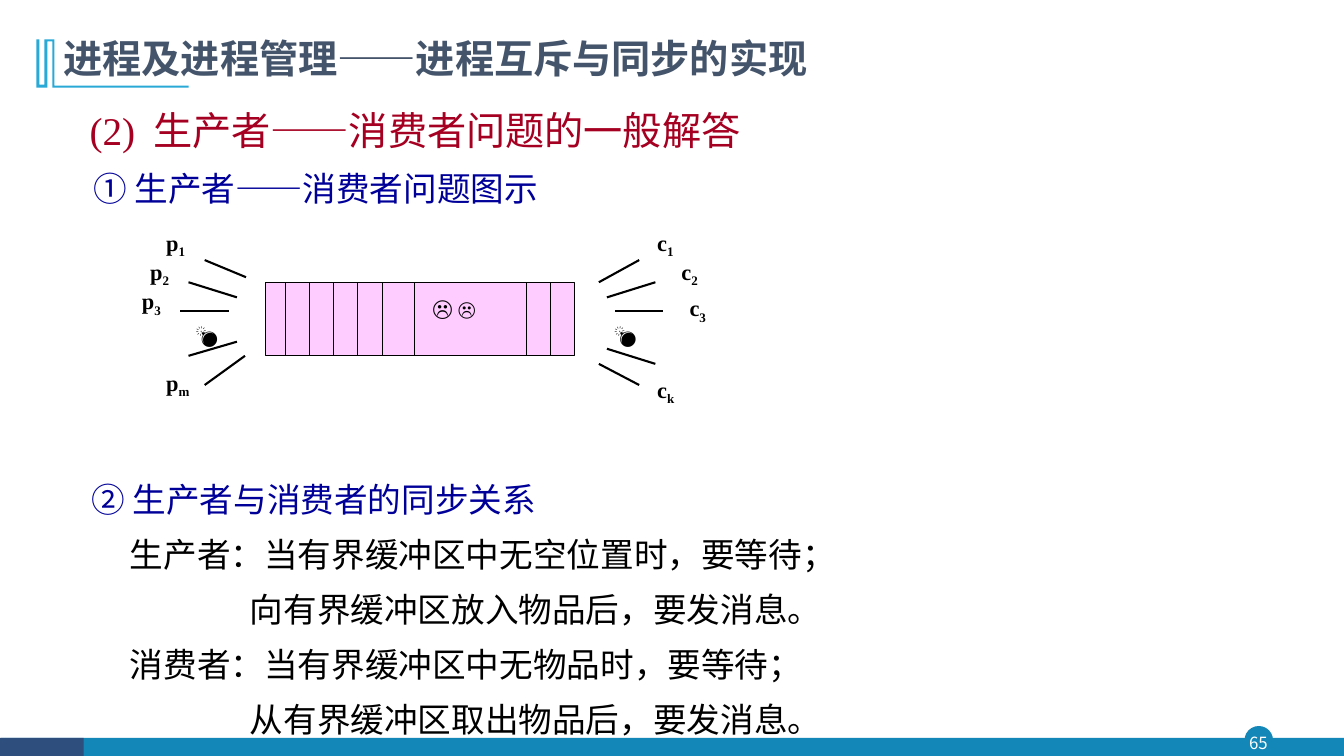
from lxml.etree import SubElement
from pptx import Presentation
from pptx.dml.color import RGBColor
from pptx.enum.shapes import MSO_CONNECTOR, MSO_SHAPE
from pptx.enum.text import MSO_ANCHOR, MSO_AUTO_SIZE, PP_ALIGN
from pptx.oxml.ns import qn
from pptx.util import Inches, Pt

COLORS = {
    "black": "000000", "white": "FFFFFF", "title": "44546A", "red": "A50021",
    "navy": "000099", "pink": "FFCCFF", "sky": "28A9D6", "bar": "1387B7",
    "bar_dark": "2E4E7E",
}
SANS = "Noto Sans CJK SC"
SERIF = "Times New Roman"


class SlideBuilder:
    def __init__(self, page):
        self.page = page
        self.shapes = page.shapes

    def start_group(self):
        self.shapes = self.page.shapes.add_group_shape().shapes

    def end_group(self):
        self.shapes = self.page.shapes

    def color(self, name):
        return RGBColor.from_string(COLORS[name])

    def style(self, span, size, color="black", font=SERIF, bold=False):
        span.font.size = Pt(size)
        span.font.name = font
        span.font.bold = bold
        span.font.color.rgb = self.color(color)
        SubElement(span._r.get_or_add_rPr(), qn("a:ea"), typeface=SANS)

    def paint(self, shape, fill, line=None, width=0.75):
        shape.shadow.inherit = False
        shape.fill.solid()
        shape.fill.fore_color.rgb = self.color(fill)
        if line:
            shape.line.color.rgb = self.color(line)
            shape.line.width = Pt(width)
        else:
            shape.line.fill.background()

    def shape(self, kind, left, top, width, height, fill, line=None, weight=0.75):
        shape = self.shapes.add_shape(
            kind, Inches(left), Inches(top), Inches(width), Inches(height))
        self.paint(shape, fill, line, weight)

    def outline(self, points, fill):
        points = [(Inches(x), Inches(y)) for x, y in points]
        builder = self.shapes.build_freeform(*points[0])
        builder.add_line_segments(points[1:], close=True)
        self.paint(builder.convert_to_shape(), fill)

    def line(self, x1, y1, x2, y2, width):
        line = self.shapes.add_connector(
            MSO_CONNECTOR.STRAIGHT, Inches(x1), Inches(y1), Inches(x2), Inches(y2))
        line.line.color.rgb = self.color("black")
        line.line.width = Pt(width)
        SubElement(line._element.spPr, qn("a:effectLst"))

    def text(self, left, top, width, height):
        box = self.shapes.add_textbox(
            Inches(left), Inches(top), Inches(width), Inches(height))
        box.text_frame.word_wrap = True
        return box.text_frame

    def title(self, text, left, top, width, height):
        box = self.page.shapes.title
        box.left, box.top = Inches(left), Inches(top)
        box.width, box.height = Inches(width), Inches(height)
        frame = box.text_frame
        frame.text = text
        frame.auto_size = MSO_AUTO_SIZE.NONE
        frame.vertical_anchor = MSO_ANCHOR.TOP
        para = frame.paragraphs[0]
        para.alignment = PP_ALIGN.LEFT
        para.line_spacing = 0.9
        self.style(para.runs[0], 28, "title", SANS, True)

    def heading(self, text, left, top, width, height, size, color, hang=0):
        frame = self.text(left, top, width, height)
        frame.text = text
        para = frame.paragraphs[0]
        para.line_spacing = 1.2
        if hang:
            properties = para._p.get_or_add_pPr()
            properties.set("marL", str(Inches(hang)))
            properties.set("indent", str(-Inches(hang)))
        self.style(para.runs[0], size, color)

    def body(self, lines, left, top, width, height):
        frame = self.text(left, top, width, height)
        frame.text = "\n".join(text for text, _, _ in lines)
        for index, (para, (_, margin, color)) in enumerate(zip(frame.paragraphs, lines)):
            para._p.get_or_add_pPr().set("marL", str(Inches(margin)))
            para.line_spacing = 1.2 if index else 1.3
            if index:
                para.space_before = Pt(4.8)
            self.style(para.runs[0], 24, color)

    def label(self, letter, index, left, top, width=0.48):
        para = self.text(left, top, width, 0.36).paragraphs[0]
        para.alignment = PP_ALIGN.JUSTIFY
        for text in (letter, index):
            span = para.add_run()
            span.text = text
            self.style(span, 16, bold=True)
        span._r.get_or_add_rPr().set("baseline", "-25000")

    def symbols(self, parts, left, top, width):
        para = self.text(left, top, width, 0.37).paragraphs[0]
        for text, size, font in parts:
            span = para.add_run()
            span.text = text
            self.style(span, size, font=font, bold=True)


def main():
    deck = Presentation()
    deck.slide_width, deck.slide_height = Inches(13.33), Inches(7.5)
    slide = SlideBuilder(deck.slides.add_slide(deck.slide_layouts[5]))

    # Footer band and page number
    slide.shape(MSO_SHAPE.OVAL, 12.35, 7.21, 0.27, 0.27, "bar", "bar", 1)
    slide.shape(MSO_SHAPE.RECTANGLE, 0.01, 7.32, 13.32, 0.19, "bar")
    slide.shape(MSO_SHAPE.RECTANGLE, 0, 7.32, 0.83, 0.19, "bar_dark")
    number = slide.text(12.32, 7.21, 0.32, 0.31)
    number.margin_left = number.margin_right = 0
    number.margin_top = number.margin_bottom = 0
    number.vertical_anchor = MSO_ANCHOR.MIDDLE
    number.text = "65"
    number.paragraphs[0].alignment = PP_ALIGN.CENTER
    slide.style(number.paragraphs[0].runs[0], 12, "white", SANS)

    # Title with its ornament
    slide.outline([
        (0.54, 0.39), (0.54, 0.85), (1.87, 0.85), (1.87, 0.87), (0.52, 0.87),
        (0.52, 0.41), (0.47, 0.41), (0.47, 0.87), (0.36, 0.87), (0.36, 0.39),
        (0.39, 0.39), (0.39, 0.84), (0.44, 0.84), (0.44, 0.39)], "sky")
    slide.title("进程及进程管理——进程互斥与同步的实现", 0.53, 0.34, 10.49, 0.56)

    # Headings and explanation
    slide.heading("(2)\t生产者——消费者问题的一般解答",
                  0.79, 0.91, 9.19, 0.66, 28, "red", hang=0.63)
    slide.heading("① 生产者——消费者问题图示", 0.83, 1.54, 6.77, 0.58, 24, "navy")
    slide.body([
        ("② 生产者与消费者的同步关系", 0, "navy"),
        ("生产者：当有界缓冲区中无空位置时，要等待；", 0.38, "black"),
        ("向有界缓冲区放入物品后，要发消息。", 1.57, "black"),
        ("消费者：当有界缓冲区中无物品时，要等待；", 0.38, "black"),
        ("从有界缓冲区取出物品后，要发消息。", 1.57, "black"),
    ], 0.81, 4.58, 8.62, 2.86)

    # Bounded buffer with its cells
    slide.start_group()
    buffer_top, buffer_height = 2.8, 0.73
    slide.shape(MSO_SHAPE.RECTANGLE, 2.63, buffer_top, 3.07, buffer_height,
                "pink", "black")
    dividers = [2.83 + 0.24 * cell for cell in range(5)] + [4.11, 5.22, 5.46]
    for x in dividers:
        slide.line(x, buffer_top, x, buffer_top + buffer_height, 0.75)
    slide.symbols([("☹ ", 16, SANS), ("☹", 14, "Arial")], 4.19, 2.87, 1.08)

    # Rays of the producers, then of the consumers
    rays = [
        (2.03, 2.58, 2.44, 2.75), (2.35, 2.95, 1.87, 2.8), (2.27, 3.09, 1.79, 3.09),
        (2.35, 3.39, 1.87, 3.53), (2.43, 3.53, 2.03, 3.82),
        (5.94, 2.8, 6.34, 2.58), (6.02, 2.95, 6.5, 2.8), (6.1, 3.09, 6.58, 3.09),
        (6.02, 3.46, 6.5, 3.61), (5.94, 3.61, 6.34, 3.82),
    ]
    for ray in rays:
        slide.line(*ray, 1.5)
    for left in (1.84, 5.99):
        slide.symbols([("💣", 16, SERIF)], left, 3.14, 0.48)

    # Names of producers and consumers
    for name in [
        ("p", "1", 1.55, 2.22), ("p", "2", 1.39, 2.51), ("p", "3", 1.31, 2.8),
        ("p", "m", 1.55, 3.61, 0.64), ("c", "1", 6.42, 2.22),
        ("c", "2", 6.66, 2.51), ("c", "3", 6.74, 2.87), ("c", "k", 6.42, 3.68),
    ]:
        slide.label(*name)
    slide.end_group()

    deck.save("out.pptx")


if __name__ == "__main__":
    main()
